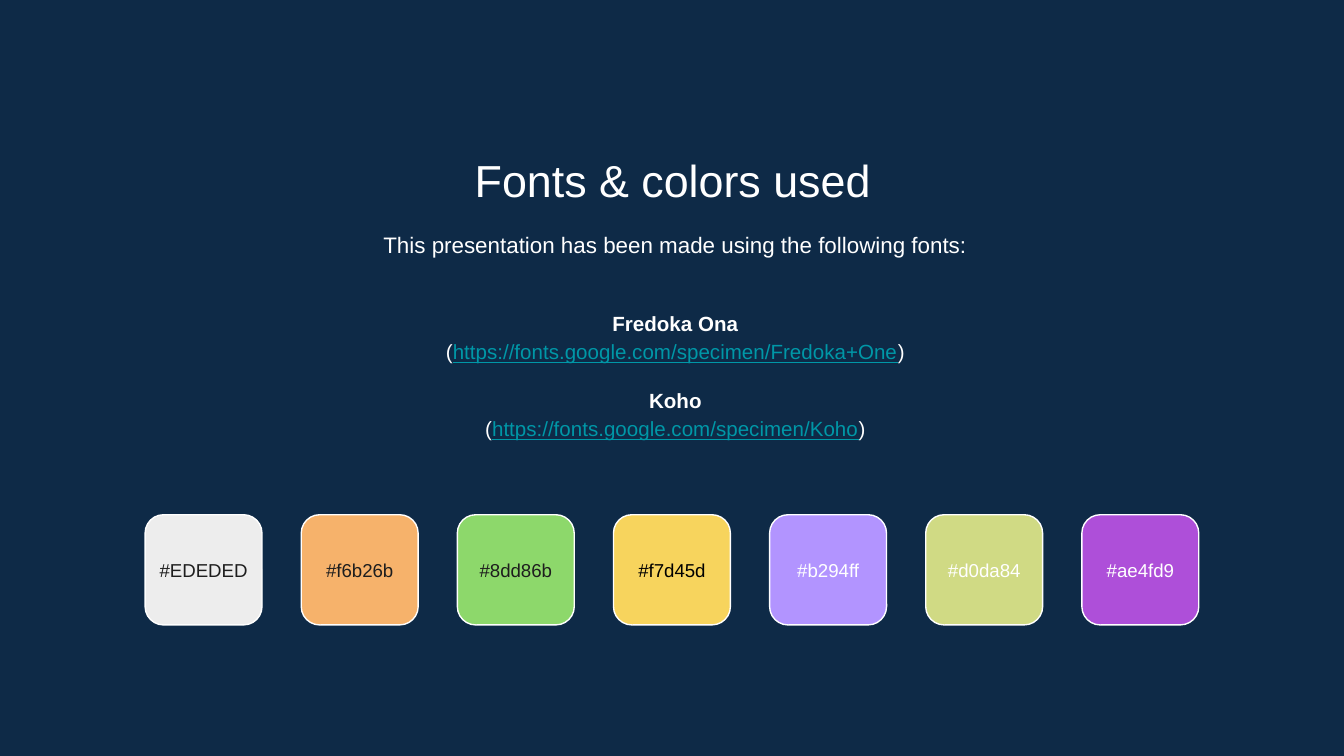
from dataclasses import dataclass

from pptx import Presentation
from pptx.dml.color import RGBColor
from pptx.enum.shapes import MSO_SHAPE
from pptx.enum.text import MSO_ANCHOR, PP_ALIGN
from pptx.util import Inches, Pt

WHITE, DARK, BLACK, LINK = "FFFFFF", "1E1E1E", "000000", "0097A7"
FIRST, LAST, TOP = 1.08, 8.05, 3.83
WIDE, HIGH = 0.87, 0.82


@dataclass
class Run:
    text: str
    size: float
    color: str = WHITE
    bold: bool = False
    under: bool = False


@dataclass
class Line:
    runs: list[Run]
    space: float = 1.0
    before: float = 0


@dataclass
class Swatch:
    code: str
    ink: str


@dataclass
class Font:
    name: str
    link: str


def color(code: str) -> RGBColor:
    return RGBColor.from_string(code.lstrip("#").upper())


def add_text(slide, x: float, y: float, w: float, h: float,
             lines: list[Line], anchor=MSO_ANCHOR.MIDDLE) -> None:
    box = slide.shapes.add_textbox(Inches(x), Inches(y), Inches(w), Inches(h))
    frame = box.text_frame
    frame.word_wrap = True
    frame.vertical_anchor = anchor
    frame.margin_left = frame.margin_right = Inches(0.1)
    frame.margin_top = frame.margin_bottom = Inches(0.1)
    for i, line in enumerate(lines):
        para = frame.add_paragraph() if i else frame.paragraphs[0]
        para.alignment = PP_ALIGN.CENTER
        para.line_spacing = line.space
        if line.before:
            para.space_before = Pt(line.before)
        for item in line.runs:
            run = para.add_run()
            run.text = item.text
            run.font.name = "Arial"
            run.font.size = Pt(item.size)
            run.font.bold = item.bold
            run.font.underline = item.under
            run.font.color.rgb = color(item.color)


def add_swatch(slide, x: float, swatch: Swatch) -> None:
    tile = slide.shapes.add_shape(MSO_SHAPE.ROUNDED_RECTANGLE, Inches(x),
                                  Inches(TOP), Inches(WIDE), Inches(HIGH))
    tile.shadow.inherit = False
    tile.fill.solid()
    tile.fill.fore_color.rgb = color(swatch.code)
    tile.line.color.rgb = color(WHITE)
    tile.line.width = Pt(0.75)
    add_text(slide, x, 4, WIDE, 0.48,
             [Line([Run(swatch.code, 10, swatch.ink)])])


def font_lines(font: Font, before: float) -> list[Line]:
    link = [Run("(", 11), Run(font.link, 11, LINK, under=True), Run(")", 11)]
    return [Line([Run(font.name, 11, bold=True)], 1.15, before),
            Line(link, 1.15)]


FONTS = [
    Font("Fredoka Ona", "https://fonts.google.com/specimen/Fredoka+One"),
    Font("Koho", "https://fonts.google.com/specimen/Koho"),
]
SWATCHES = [
    Swatch("#EDEDED", DARK),
    Swatch("#f6b26b", DARK),
    Swatch("#8dd86b", DARK),
    Swatch("#f7d45d", BLACK),
    Swatch("#b294ff", WHITE),
    Swatch("#d0da84", WHITE),
    Swatch("#ae4fd9", WHITE),
]


def main() -> None:
    # Widescreen page, 16 to 9
    deck = Presentation()
    deck.slide_width, deck.slide_height = Inches(10), Inches(10 * 9 / 16)
    slide = deck.slides.add_slide(deck.slide_layouts[6])
    slide.background.fill.solid()
    slide.background.fill.fore_color.rgb = color("0E2A47")

    # Title and intro
    add_text(slide, 1.15, 1.04, 7.71, 0.53,
             [Line([Run("Fonts & colors used", 24)])], MSO_ANCHOR.TOP)
    intro = "This presentation has been made using the following fonts:"
    add_text(slide, 1.17, 1.59, 7.71, 0.48,
             [Line([Run(intro, 12)], 1.15)], MSO_ANCHOR.TOP)

    # Font names with their links
    lines = [line for i, font in enumerate(FONTS)
             for line in font_lines(font, 11 if i else 0)]
    add_text(slide, 1.17, 2.1, 7.71, 1.37, lines)

    # Row of colour swatches
    step = (LAST - FIRST) / (len(SWATCHES) - 1)
    for i, swatch in enumerate(SWATCHES):
        add_swatch(slide, FIRST + i * step, swatch)

    deck.save("out.pptx")


if __name__ == "__main__":
    main()
